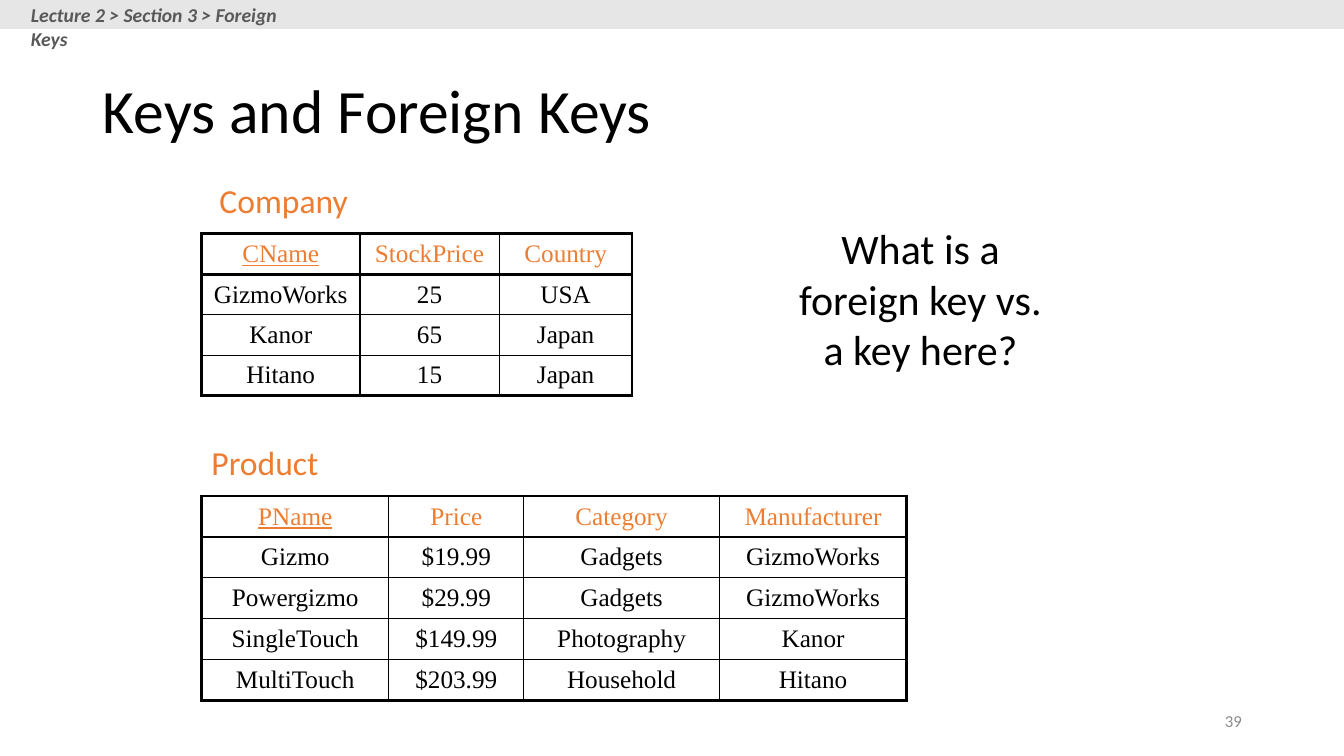
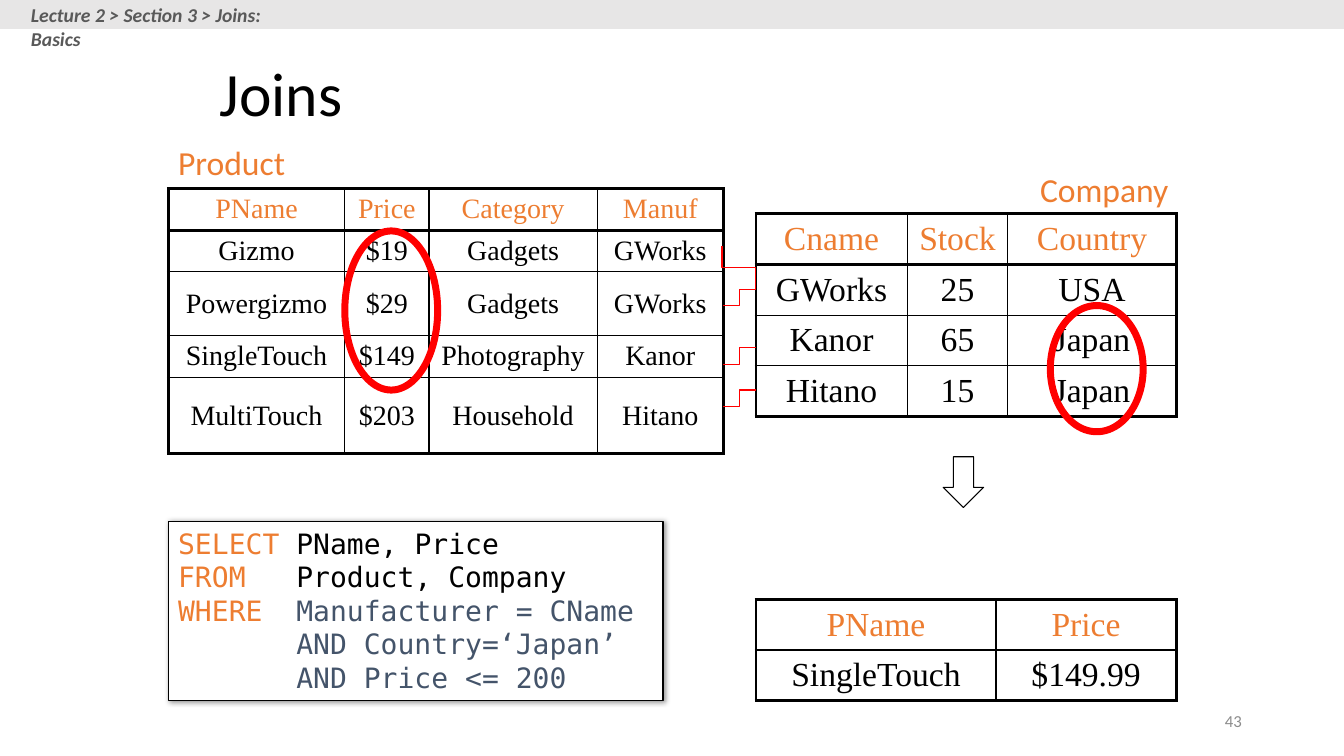
"""Build two lecture slides on foreign keys and joins."""
from lxml import etree
from pptx import Presentation
from pptx import util as u
from pptx.dml.color import RGBColor
from pptx.enum import shapes, text
from pptx.oxml import ns, parse_xml

COLOURS = {
    "ink": "000000", "paper": "FFFFFF", "band": "E7E6E6", "breadcrumb": "595959",
    "number": "8C8C8C", "accent": "ED7D31", "condition": "44546A", "mark": "FF0000",
}
RGB = {name: RGBColor.from_string(value) for name, value in COLOURS.items()}
BODY, TABLE, CODE = "Calibri", "Times New Roman", "DejaVu Sans Mono"
THICK, THIN = u.Pt(2.25), u.Pt(1)
LEFT, CENTER, RIGHT = text.PP_ALIGN.LEFT, text.PP_ALIGN.CENTER, text.PP_ALIGN.RIGHT


def add_text(slide, box, words, size, colour, align=LEFT, anchor=text.MSO_ANCHOR.TOP):
    """Add a wrapping text box, with its box in centimetres, and return its font."""
    frame = slide.shapes.add_textbox(*map(u.Cm, box)).text_frame
    frame.word_wrap = True
    frame.vertical_anchor = anchor
    frame.text = words
    paragraph = frame.paragraphs[0]
    paragraph.alignment = align
    font = paragraph.runs[0].font
    font.name, font.size, font.color.rgb = BODY, u.Pt(size), RGB[colour]
    return font


def add_grid(slide, corner, widths, heights, size, rows, key=None):
    """Add a ruled table with a thick outline and header line; underline the key column."""
    table = slide.shapes.add_table(
        len(rows), len(widths), *map(u.Cm, corner), u.Cm(sum(widths)), u.Cm(sum(heights))).table
    table.first_row = table.horz_banding = False
    for column, width in zip(table.columns, widths):
        column.width = u.Cm(width)
    for row, height in zip(table.rows, heights):
        row.height = u.Cm(height)
    for i, values in enumerate(rows):
        for j, value in enumerate(values):
            cell = table.cell(i, j)
            cell.margin_left = cell.margin_right = u.Cm(0.15)
            cell.margin_top = cell.margin_bottom = u.Cm(0.08)
            cell.vertical_anchor = text.MSO_ANCHOR.MIDDLE
            thick_edges = {"L": j == 0, "R": j == len(widths) - 1,
                           "T": i <= 1, "B": i in (0, len(rows) - 1)}
            properties = cell._tc.get_or_add_tcPr()
            for edge, thick in thick_edges.items():
                line = etree.SubElement(properties, ns.qn(f"a:ln{edge}"), w=str(THICK if thick else THIN))
                fill = etree.SubElement(line, ns.qn("a:solidFill"))
                etree.SubElement(fill, ns.qn("a:srgbClr"), val=COLOURS["ink"])
            cell.fill.solid()
            cell.fill.fore_color.rgb = RGB["paper"]
            cell.text_frame.text = value
            paragraph = cell.text_frame.paragraphs[0]
            paragraph.alignment = CENTER
            font = paragraph.runs[0].font
            font.name, font.size = TABLE, u.Pt(size)
            font.color.rgb = RGB["ink" if i else "accent"]
            font.underline = True if (i, j) == (0, key) else None


presentation = Presentation()
presentation.slide_width, presentation.slide_height = u.Cm(33.87), u.Cm(19.05)

pages = [
    ("Keys and Foreign Keys", (2.34, 1.02, 29.21, 3.68), "Foreign Keys", "39"),
    ("Joins", (5.28, 0.84, 22.86, 3.18), "Joins: Basics", "43"),
]
slides = []
for heading, title_box, topic, number in pages:
    slide = presentation.slides.add_slide(presentation.slide_layouts[5])
    slides.append(slide)
    title = slide.shapes.title
    title.left, title.top, title.width, title.height = map(u.Cm, title_box)
    title.text_frame.text = heading
    title.text_frame.vertical_anchor = text.MSO_ANCHOR.MIDDLE
    paragraph = title.text_frame.paragraphs[0]
    paragraph.alignment = LEFT
    paragraph.line_spacing = 0.9
    font = paragraph.runs[0].font
    font.name, font.size, font.color.rgb = BODY, u.Pt(44), RGB["ink"]

    band = slide.shapes.add_shape(
        shapes.MSO_SHAPE.RECTANGLE, 0, 0, presentation.slide_width, u.Cm(0.73))
    band.shadow.inherit = False
    band.fill.solid()
    band.fill.fore_color.rgb = RGB["band"]
    band.line.fill.background()
    breadcrumb = add_text(slide, (0.53, -0.05, 7.4, 0.86),
                          f"Lecture 2 > Section 3 > {topic}", 14, "breadcrumb")
    breadcrumb.bold = breadcrumb.italic = True
    add_text(slide, (23.93, 17.65, 7.62, 1.02), number, 12, "number", RIGHT, text.MSO_ANCHOR.MIDDLE)

keys_slide, joins_slide = slides

add_text(keys_slide, (5.28, 4.42, 4.2, 1.27), "Company", 24, "accent")
add_grid(keys_slide, (5.08, 5.89), (3.99, 3.51, 3.35), [1.02] * 4, 18, [
    ("CName", "StockPrice", "Country"),
    ("GizmoWorks", "25", "USA"),
    ("Kanor", "65", "Japan"),
    ("Hitano", "15", "Japan"),
], key=0)
add_text(keys_slide, (5.08, 11, 4.2, 1.27), "Product", 24, "accent")
add_grid(keys_slide, (5.08, 12.5), (4.72, 3.4, 4.93, 4.72), [1.03] * 5, 18, [
    ("PName", "Price", "Category", "Manufacturer"),
    ("Gizmo", "$19.99", "Gadgets", "GizmoWorks"),
    ("Powergizmo", "$29.99", "Gadgets", "GizmoWorks"),
    ("SingleTouch", "$149.99", "Photography", "Kanor"),
    ("MultiTouch", "$203.99", "Household", "Hitano"),
], key=0)
add_text(keys_slide, (19.81, 5.49, 6.78, 4.11),
         "What is a foreign key vs. a key here?", 30, "ink", CENTER)

add_text(joins_slide, (4.24, 3.45, 4.2, 1.27), "Product", 24, "accent")
add_grid(joins_slide, (4.24, 4.75), (4.45, 2.12, 4.24, 3.18), (1.05, 1.05, 1.6, 1.06, 1.92), 20, [
    ("PName", "Price", "Category", "Manuf"),
    ("Gizmo", "$19", "Gadgets", "GWorks"),
    ("Powergizmo", "$29", "Gadgets", "GWorks"),
    ("SingleTouch", "$149", "Photography", "Kanor"),
    ("MultiTouch", "$203", "Household", "Hitano"),
])
add_text(joins_slide, (25.96, 4.14, 4.2, 1.27), "Company", 24, "accent")
add_grid(joins_slide, (19.05, 5.38), (3.81, 2.54, 4.24), [1.28] * 4, 24, [
    ("Cname", "Stock", "Country"),
    ("GWorks", "25", "USA"),
    ("Kanor", "65", "Japan"),
    ("Hitano", "15", "Japan"),
])
add_grid(joins_slide, (19.05, 15.11), (6.05, 4.54), [1.27] * 2, 24, [
    ("PName", "Price"),
    ("SingleTouch", "$149.99"),
])

arrow = joins_slide.shapes.add_shape(
    shapes.MSO_SHAPE.DOWN_ARROW, *map(u.Cm, (23.77, 11.51, 1.02, 1.28)))
arrow.shadow.inherit = False
arrow.fill.background()
arrow.line.color.rgb, arrow.line.width = RGB["ink"], u.Pt(0.75)

join_links = [
    ((19.15, 6.32, 18.08, 7.16), 270),
    ((18.21, 7.7, 19.05, 7.29), 0),
    ((18.21, 9.19, 19.05, 8.76), 0),
    ((18.21, 10.24, 19.05, 9.83), 0),
]
for ends, angle in join_links:
    link = joins_slide.shapes.add_connector(shapes.MSO_CONNECTOR.ELBOW, *map(u.Cm, ends))
    link.line.color.rgb, link.line.width = RGB["mark"], u.Pt(1)
    properties = link._element.spPr
    etree.SubElement(properties, ns.qn("a:effectLst"))
    if angle:
        properties.find(ns.qn("a:xfrm")).set("rot", str(angle * 60000))

for ring_box in [(8.69, 5.82, 2.34, 4.01), (26.47, 7.7, 2.34, 3.18)]:
    ring = joins_slide.shapes.add_shape(shapes.MSO_SHAPE.OVAL, *map(u.Cm, ring_box))
    ring.shadow.inherit = False
    ring.fill.background()
    ring.line.color.rgb, ring.line.width = RGB["mark"], u.Pt(5)

query = joins_slide.shapes.add_shape(
    shapes.MSO_SHAPE.RECTANGLE, *map(u.Cm, (4.24, 13.13, 12.47, 4.52)))
query.shadow.inherit = False
query.fill.solid()
query.fill.fore_color.rgb = RGB["paper"]
query.line.color.rgb, query.line.width = RGB["ink"], u.Pt(0.75)
query._element.spPr.find(ns.qn("a:effectLst")).append(parse_xml(
    f'<a:outerShdw {ns.nsdecls("a")} blurRad="{u.Pt(4)}" dist="{u.Pt(1)}" dir="2700000">'
    f'<a:srgbClr val="{COLOURS["ink"]}"><a:alpha val="40000"/></a:srgbClr></a:outerShdw>'))
frame = query.text_frame
frame.word_wrap = False
frame.vertical_anchor = text.MSO_ANCHOR.TOP
query_lines = [
    [("SELECT ", "accent"), ("PName, Price", "ink")],
    [("FROM   ", "accent"), ("Product, Company", "ink")],
    [("WHERE  ", "accent"), ("Manufacturer = CName", "condition")],
    [("       AND Country=‘Japan’", "condition")],
    [("       AND Price <= 200", "condition")],
]
for i, parts in enumerate(query_lines):
    paragraph = frame.add_paragraph() if i else frame.paragraphs[0]
    paragraph.alignment = LEFT
    for words, colour in parts:
        run = paragraph.add_run()
        run.text = words
        run.font.name, run.font.size, run.font.color.rgb = CODE, u.Pt(20), RGB[colour]

presentation.save("out.pptx")
